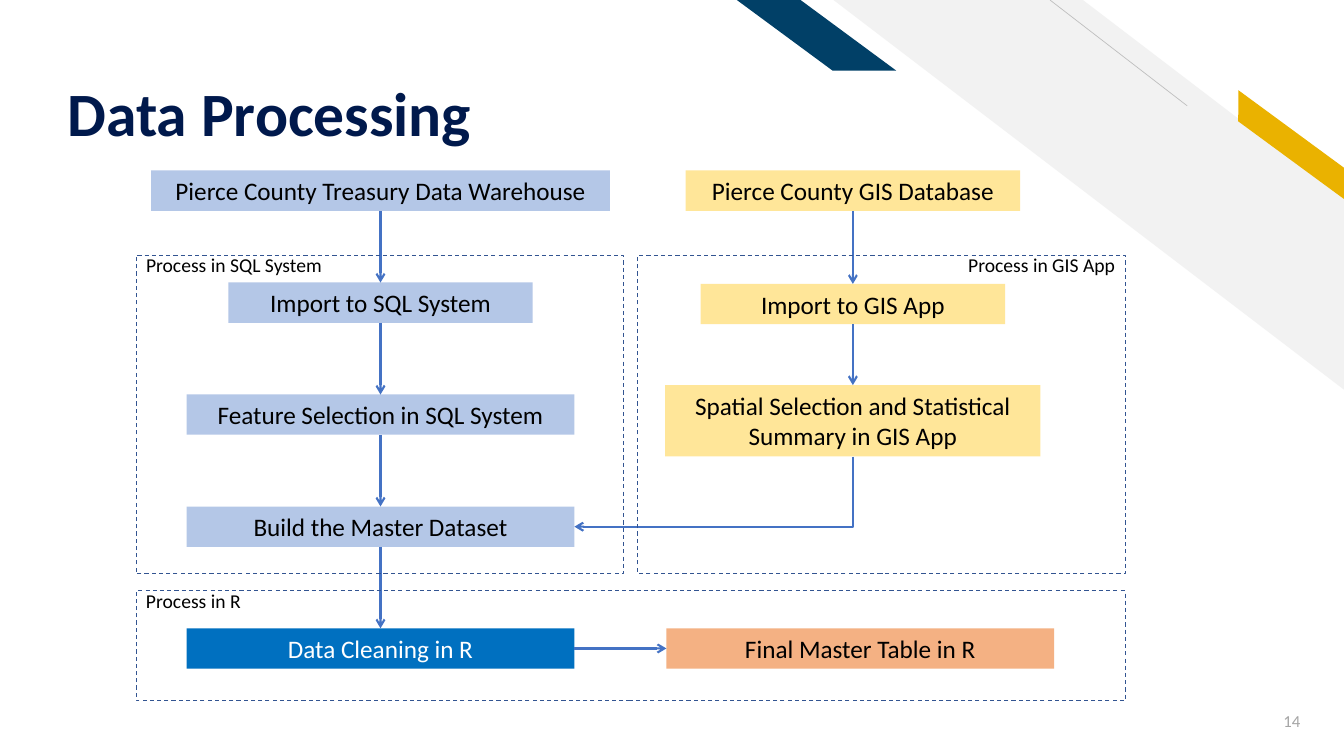
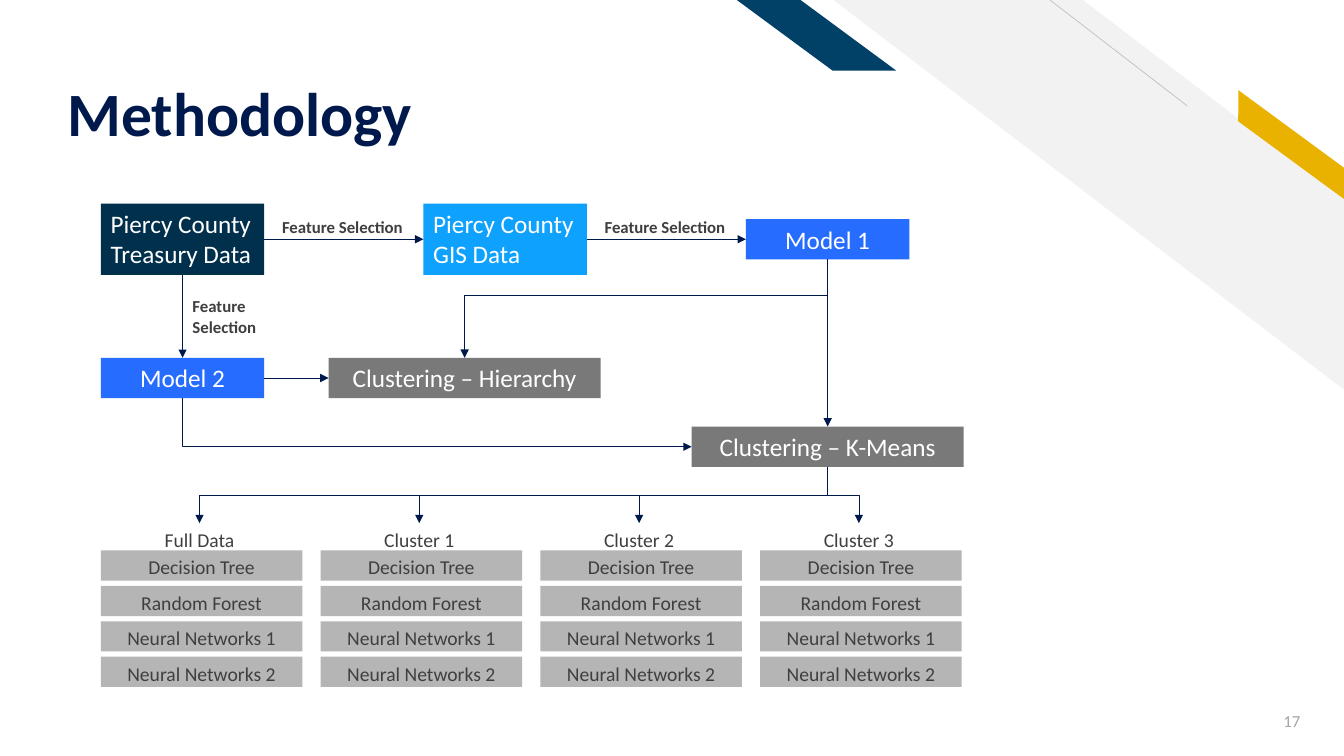
from lxml.etree import SubElement
from pptx import Presentation
from pptx.dml.color import RGBColor
from pptx.enum.dml import MSO_LINE
from pptx.enum.shapes import MSO_CONNECTOR as Connector, MSO_SHAPE as Preset
from pptx.enum.text import MSO_ANCHOR as Anchor, MSO_AUTO_SIZE as AutoSize, PP_ALIGN as Align
from pptx.oxml.ns import qn
from pptx.util import Pt

FONT = "Calibri"
NAVY = RGBColor(0x00, 0x19, 0x4C)
TEAL = RGBColor(0x01, 0x40, 0x67)
GOLD = RGBColor(0xEA, 0xB2, 0x00)
PALE_GREY = RGBColor(0xF2, 0xF2, 0xF2)
RULE_GREY = RGBColor(0xBF, 0xBF, 0xBF)
NUMBER_GREY = RGBColor(0xA5, 0xA5, 0xA5)
BLACK = RGBColor(0x00, 0x00, 0x00)
WHITE = RGBColor(0xFF, 0xFF, 0xFF)
LIGHT_BLUE = RGBColor(0xB4, 0xC7, 0xE7)
LIGHT_YELLOW = RGBColor(0xFF, 0xE6, 0x99)
STRONG_BLUE = RGBColor(0x00, 0x70, 0xC0)
ORANGE = RGBColor(0xF4, 0xB1, 0x83)
ARROW_BLUE = RGBColor(0x44, 0x72, 0xC4)
FRAME_BLUE = RGBColor(0x32, 0x54, 0x91)
DEEP_BLUE = RGBColor(0x01, 0x30, 0x4D)
SKY_BLUE = RGBColor(0x0E, 0xA1, 0xFD)
MODEL_BLUE = RGBColor(0x26, 0x6D, 0xFF)
CLUSTER_GREY = RGBColor(0x79, 0x79, 0x79)
BAR_GREY = RGBColor(0xB5, 0xB5, 0xB5)
DARK_GREY = RGBColor(0x3F, 0x3F, 0x3F)

TOP, LEFT, BOTTOM, RIGHT = range(4)
ROW = 28.8


def write(shape, text, size, color, align=Align.CENTER, bold=False):
    frame = shape.text_frame
    frame.word_wrap = True
    frame.vertical_anchor = Anchor.TOP
    frame.text = text
    para = frame.paragraphs[0]
    para.alignment = align
    para.font.name = FONT
    para.font.size = Pt(size)
    para.font.bold = bold
    para.font.color.rgb = color


def add_label(page, left, top, width, height, text, size, color, align=Align.LEFT, bold=False):
    label = page.shapes.add_textbox(Pt(left), Pt(top), Pt(width), Pt(height))
    write(label, text, size, color, align, bold)
    return label


def add_preset(page, preset, left, top, width, height, fill):
    shape = page.shapes.add_shape(preset, Pt(left), Pt(top), Pt(width), Pt(height))
    shape.shadow.inherit = False
    shape.line.fill.background()
    shape.fill.solid()
    shape.fill.fore_color.rgb = fill
    return shape


def add_box(page, left, top, width, height, fill, text, color=WHITE, size=18, align=Align.CENTER):
    box = add_preset(page, Preset.RECTANGLE, left, top, width, height, fill)
    write(box, text, size, color, align)
    return box


def add_line(page, kind, ends, color, weight):
    line = page.shapes.add_connector(kind, *(Pt(value) for value in ends))
    line.line.color.rgb = color
    line.line.width = Pt(weight)
    SubElement(line.element.spPr, qn("a:effectLst"))
    return line


def turn_elbow(line, bends, share):
    start_x, start_y, end_x, end_y = line.begin_x, line.begin_y, line.end_x, line.end_y
    across, down = abs(end_x - start_x), end_y - start_y
    line.left = (start_x + end_x - down) // 2
    line.top = (start_y + end_y - across) // 2
    line.width, line.height = down, across
    props = line.element.spPr
    outline = props.find(qn("a:xfrm"))
    outline.attrib.clear()
    outline.set("rot", str((90 if end_x < start_x else 270) * 60000))
    if end_x > start_x:
        outline.set("flipH", "1")
    geometry = props.find(qn("a:prstGeom"))
    geometry.set("prst", f"bentConnector{bends + 1}")
    if bends == 2:
        guides = geometry.find(qn("a:avLst"))
        SubElement(guides, qn("a:gd"), name="adj1", fmla=f"val {round(share * 100000)}")


def link(page, source, source_side, target, target_side, style, bends=0, share=0.5):
    color, weight, head = style
    kind = Connector.ELBOW if bends else Connector.STRAIGHT
    line = add_line(page, kind, (0, 0, 0, 0), color, weight)
    line.begin_connect(source, source_side)
    line.end_connect(target, target_side)
    if bends:
        turn_elbow(line, bends, share)
    SubElement(line.element.spPr.find(qn("a:ln")), qn("a:tailEnd"), type=head)


def decorate_layout(layout, page):
    bands = [
        (Preset.DIAGONAL_STRIPE, 595.4, 0, 365, 278.6, PALE_GREY, 0.512, 0),
        (Preset.PARALLELOGRAM, 869, 94.3, 106.6, 18, GOLD, 0.72, 36.3),
        (Preset.PARALLELOGRAM, 526.3, 0, 113.8, 50.4, TEAL, 1.356, 0),
    ]
    parts = []
    for preset, left, top, width, height, fill, slant, angle in bands:
        band = add_preset(page, preset, left, top, width, height, fill)
        band.adjustments[0] = slant
        band.rotation = angle
        band.element.spPr.find(qn("a:xfrm")).set("flipH", "1")
        parts.append(band)
    parts.append(add_line(page, Connector.STRAIGHT, (848, 75.6, 750, 0), RULE_GREY, 0.5))
    for index, part in enumerate(parts):
        part.element.xpath(".//p:cNvPr")[0].set("id", str(100 + index))
        layout.shapes.element.insert(2 + index, part.element)

    title = layout.placeholders[0]
    title.left, title.top, title.width, title.height = Pt(41), Pt(16.6), Pt(656), Pt(90.7)


def add_page(deck, layout, title, number):
    page = deck.slides.add_slide(layout)
    write(page.shapes.title, title, 44, NAVY, Align.LEFT, True)
    frame = page.shapes.title.text_frame
    frame.auto_size = AutoSize.NONE
    frame.vertical_anchor = Anchor.BOTTOM
    frame.margin_bottom = 0
    frame.paragraphs[0].line_spacing = 0.9
    footer = add_label(page, 877.7, 500.4, 58.3, ROW, number, 12, NUMBER_GREY, Align.RIGHT)
    footer.text_frame.vertical_anchor = Anchor.MIDDLE
    return page


def add_frame(page, left, top, width, height, caption, align=Align.LEFT):
    frame = page.shapes.add_shape(Preset.RECTANGLE, Pt(left), Pt(top), Pt(width), Pt(height))
    frame.shadow.inherit = False
    frame.fill.background()
    frame.line.color.rgb = FRAME_BLUE
    frame.line.width = Pt(0.75)
    frame.line.dash_style = MSO_LINE.DASH
    add_label(page, left, top - 5, width, 24, caption, 14, BLACK, align)


def draw_processing(page, left, top):
    style = (ARROW_BLUE, 1.5, "arrow")
    sql_middle, gis_middle = left + 174.6, left + 512

    def step(middle, offset, width, fill, text, color=BLACK, height=ROW):
        return add_box(page, middle - width / 2, top + offset, width, height, fill, text, color)

    sql_steps = [
        step(sql_middle, 0, 327.6, LIGHT_BLUE, "Pierce County Treasury Data Warehouse"),
        step(sql_middle, 80, 217.4, LIGHT_BLUE, "Import to SQL System"),
        step(sql_middle, 160, 277, LIGHT_BLUE, "Feature Selection in SQL System"),
        step(sql_middle, 240, 277, LIGHT_BLUE, "Build the Master Dataset"),
        step(sql_middle, 327, 277, STRONG_BLUE, "Data Cleaning in R", WHITE),
    ]
    gis_steps = [
        step(gis_middle, 0, 239, LIGHT_YELLOW, "Pierce County GIS Database"),
        step(gis_middle, 81, 217.4, LIGHT_YELLOW, "Import to GIS App"),
        step(gis_middle, 153.3, 268, LIGHT_YELLOW,
             "Spatial Selection and Statistical Summary in GIS App", height=51),
    ]
    final = step(left + 517.3, 327, 277, ORANGE, "Final Master Table in R")

    for steps in (sql_steps, gis_steps):
        for source, target in zip(steps, steps[1:]):
            link(page, source, BOTTOM, target, TOP, style)
    link(page, gis_steps[-1], BOTTOM, sql_steps[3], RIGHT, style, bends=1)
    link(page, sql_steps[-1], RIGHT, final, LEFT, style)

    add_frame(page, left, top + 60.5, 348, 227.5, "Process in SQL System")
    add_frame(page, left + 358.5, top + 60.5, 348, 227.5, "Process in GIS App", Align.RIGHT)
    add_frame(page, left, top + 300.2, 706.5, 78.5, "Process in R")


def draw_model_column(page, left, top, name):
    heading = add_label(page, left + 5, top, 131, 24, name, 14, DARK_GREY, Align.CENTER)
    models = ["Decision Tree", "Random Forest", "Neural Networks 1", "Neural Networks 2"]
    for row, model in enumerate(models):
        add_box(page, left, top + 19.5 + row * 25.3, 144, 21.6, BAR_GREY, model, DARK_GREY, 14)
    return heading


def draw_methodology(page, left, top):
    style = (NAVY, 0.5, "triangle")
    pitch, width, cluster_width = 230.4, 116.8, 194.4

    treasury = add_box(page, left, top, width, 51, DEEP_BLUE,
                       "Piercy County Treasury Data", align=Align.LEFT)
    gis = add_box(page, left + pitch, top, width, 51, SKY_BLUE,
                  "Piercy County GIS Data", align=Align.LEFT)
    first = add_box(page, left + 2 * pitch, top + 11.1, width, ROW, MODEL_BLUE, "Model 1")
    second = add_box(page, left, top + 110.2, width, ROW, MODEL_BLUE, "Model 2")
    hierarchy = add_box(page, left + 162.7, top + 110.2, cluster_width, ROW,
                        CLUSTER_GREY, "Clustering – Hierarchy")
    means = add_box(page, left + 422, top + 159.3, cluster_width, ROW,
                    CLUSTER_GREY, "Clustering – K-Means")

    for x, y, room in ((122.4, 5.8, 102), (122.4 + pitch, 5.8, 102), (58.4, 62.6, 64)):
        add_label(page, left + x, top + y, room, 21.6, "Feature Selection", 12, DARK_GREY, bold=True)

    link(page, treasury, RIGHT, gis, LEFT, style)
    link(page, gis, RIGHT, first, LEFT, style)
    link(page, treasury, BOTTOM, second, TOP, style)
    link(page, second, RIGHT, hierarchy, LEFT, style)
    link(page, first, BOTTOM, means, TOP, style)
    link(page, second, BOTTOM, means, LEFT, style, bends=1)
    link(page, first, BOTTOM, hierarchy, TOP, style, bends=2, share=0.37)

    for column, name in enumerate(["Full Data", "Cluster 1", "Cluster 2", "Cluster 3"]):
        heading = draw_model_column(page, left + column * 157, top + 228.3, name)
        link(page, means, BOTTOM, heading, TOP, style, bends=2)


def main():
    deck = Presentation()
    deck.slide_width, deck.slide_height = Pt(960), Pt(540)
    layout = deck.slide_layouts[5]

    processing = add_page(deck, layout, "Data Processing", "14")
    decorate_layout(layout, processing)
    draw_processing(processing, 97.2, 121.8)

    methodology = add_page(deck, layout, "Methodology", "17")
    draw_methodology(methodology, 72, 145.4)

    deck.save("out.pptx")


if __name__ == "__main__":
    main()
